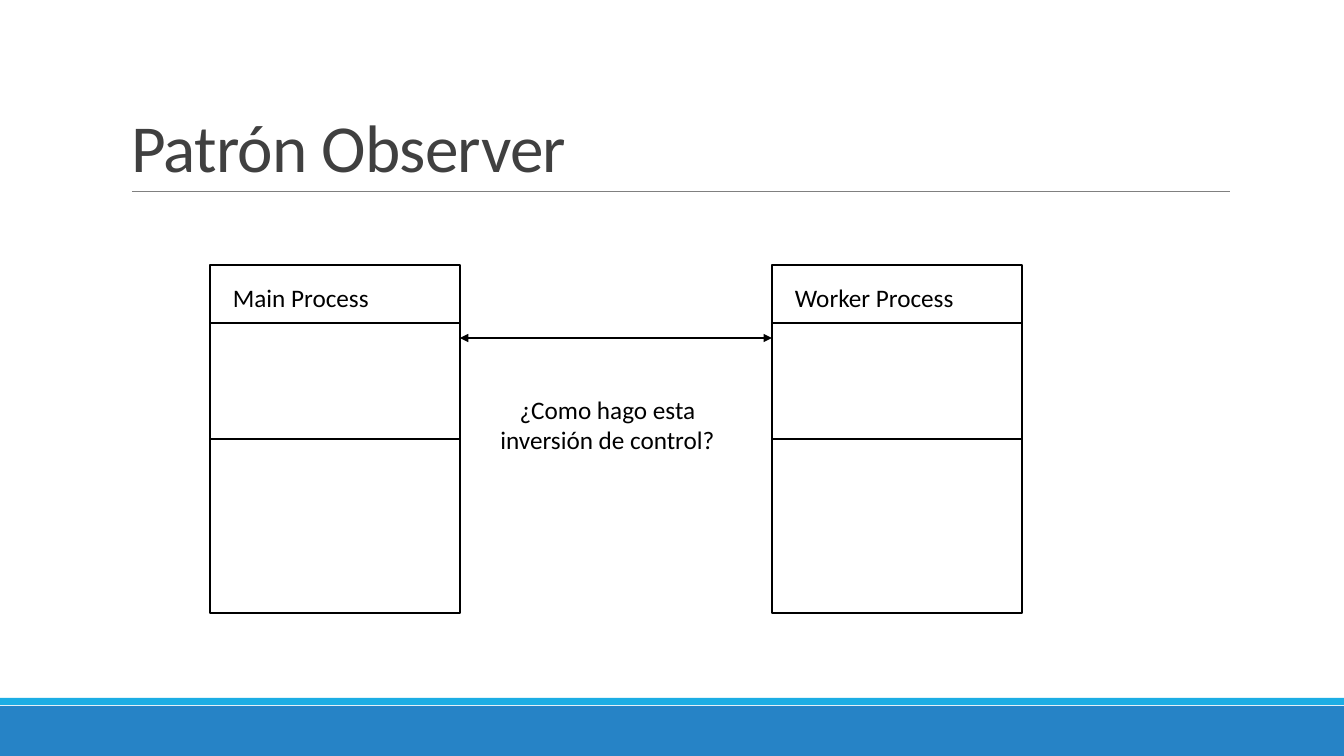
from dataclasses import dataclass

from lxml import etree
from pptx import Presentation
from pptx.dml.color import RGBColor
from pptx.enum.shapes import MSO_CONNECTOR, MSO_SHAPE
from pptx.enum.text import MSO_ANCHOR, MSO_AUTO_SIZE, PP_ALIGN
from pptx.oxml.ns import qn
from pptx.util import Pt

RECTANGLE = MSO_SHAPE.RECTANGLE
STRAIGHT = MSO_CONNECTOR.STRAIGHT
BOTTOM = MSO_ANCHOR.BOTTOM
NO_AUTOFIT = MSO_AUTO_SIZE.NONE
GROW = MSO_AUTO_SIZE.SHAPE_TO_FIT_TEXT
LEFT, CENTER = PP_ALIGN.LEFT, PP_ALIGN.CENTER

EMU_PER_PIXEL = 914400 / 100.8
SLIDE_WIDTH, SLIDE_HEIGHT = 1344, 756
TITLE_ONLY_LAYOUT = 5


def emu(*pixels):
    return [round(pixel * EMU_PER_PIXEL) for pixel in pixels]


@dataclass(frozen=True)
class Theme:
    font: str = "Calibri"
    title_size: float = 48
    body_size: float = 18
    title_color: str = "404040"
    ink: str = "000000"
    paper: str = "FFFFFF"
    rule: str = "808080"
    footer: str = "2683C6"
    footer_edge: str = "1CADE4"


class SlideBuilder:
    def __init__(self, slide, theme):
        self.slide = slide
        self.theme = theme

    def style_font(self, paragraph, size, color):
        paragraph.font.name = self.theme.font
        paragraph.font.size = Pt(size)
        paragraph.font.color.rgb = RGBColor.from_string(color)

    def title(self, text, left, top, width, height):
        shape = self.slide.shapes.title
        shape.left, shape.top, shape.width, shape.height = emu(left, top, width, height)
        frame = shape.text_frame
        frame.text = text
        frame.word_wrap = True
        frame.auto_size = NO_AUTOFIT
        frame.vertical_anchor = BOTTOM
        paragraph = frame.paragraphs[0]
        paragraph.alignment = LEFT
        paragraph.line_spacing = 0.85
        self.style_font(paragraph, self.theme.title_size, self.theme.title_color)
        paragraph.runs[0].font._element.set("spc", "-50")

    def rectangle(self, left, top, width, height, fill, line_width=None):
        shape = self.slide.shapes.add_shape(RECTANGLE, *emu(left, top, width, height))
        shape.shadow.inherit = False
        shape.fill.solid()
        shape.fill.fore_color.rgb = RGBColor.from_string(fill)
        if line_width is None:
            shape.line.fill.background()
        else:
            shape.line.color.rgb = RGBColor.from_string(self.theme.ink)
            shape.line.width = Pt(line_width)

    def line(self, left, right, y, color, width=1, arrowheads=False):
        connector = self.slide.shapes.add_connector(STRAIGHT, *emu(left, y, right, y))
        connector.line.color.rgb = RGBColor.from_string(color)
        connector.line.width = Pt(width)
        if arrowheads:
            outline = connector.line._get_or_add_ln()
            for end in ("a:headEnd", "a:tailEnd"):
                etree.SubElement(outline, qn(end), type="triangle")
        etree.SubElement(connector._element.spPr, qn("a:effectLst"))

    def text(self, text, left, top, width, height, alignment=LEFT):
        box = self.slide.shapes.add_textbox(*emu(left, top, width, height))
        frame = box.text_frame
        frame.text = text
        frame.word_wrap = True
        frame.auto_size = GROW
        paragraph = frame.paragraphs[0]
        paragraph.alignment = alignment
        self.style_font(paragraph, self.theme.body_size, self.theme.ink)

    def process_box(self, name, left, top, width, height):
        self.rectangle(left, top, width, height, self.theme.paper, line_width=1.25)
        for divider in (height / 2, height / 6):
            self.line(left, left + width, top + divider, self.theme.ink)
        self.text(name, left + 13, top + 12, 260, 40)


presentation = Presentation()
presentation.slide_width, presentation.slide_height = emu(SLIDE_WIDTH, SLIDE_HEIGHT)
slide = presentation.slides.add_slide(presentation.slide_layouts[TITLE_ONLY_LAYOUT])
theme = Theme()
builder = SlideBuilder(slide, theme)

builder.rectangle(0, 706, SLIDE_WIDTH, 50, theme.footer)
builder.rectangle(0, 698, SLIDE_WIDTH, 7, theme.footer_edge)
builder.line(132, 1230, 191, theme.rule, width=0.5)
builder.title("Patrón Observer", 121, 31, 1109, 160)

BOX_TOP, BOX_WIDTH, BOX_HEIGHT = 265, 250, 348
MAIN_LEFT, WORKER_LEFT = 210, 772
for name, left in (("Main Process", MAIN_LEFT), ("Worker Process", WORKER_LEFT)):
    builder.process_box(name, left, BOX_TOP, BOX_WIDTH, BOX_HEIGHT)

builder.line(MAIN_LEFT + BOX_WIDTH, WORKER_LEFT, 338, theme.ink, arrowheads=True)
builder.text("¿Como hago esta inversión de control?", 485, 389, 245, 71, CENTER)

presentation.save("out.pptx")
